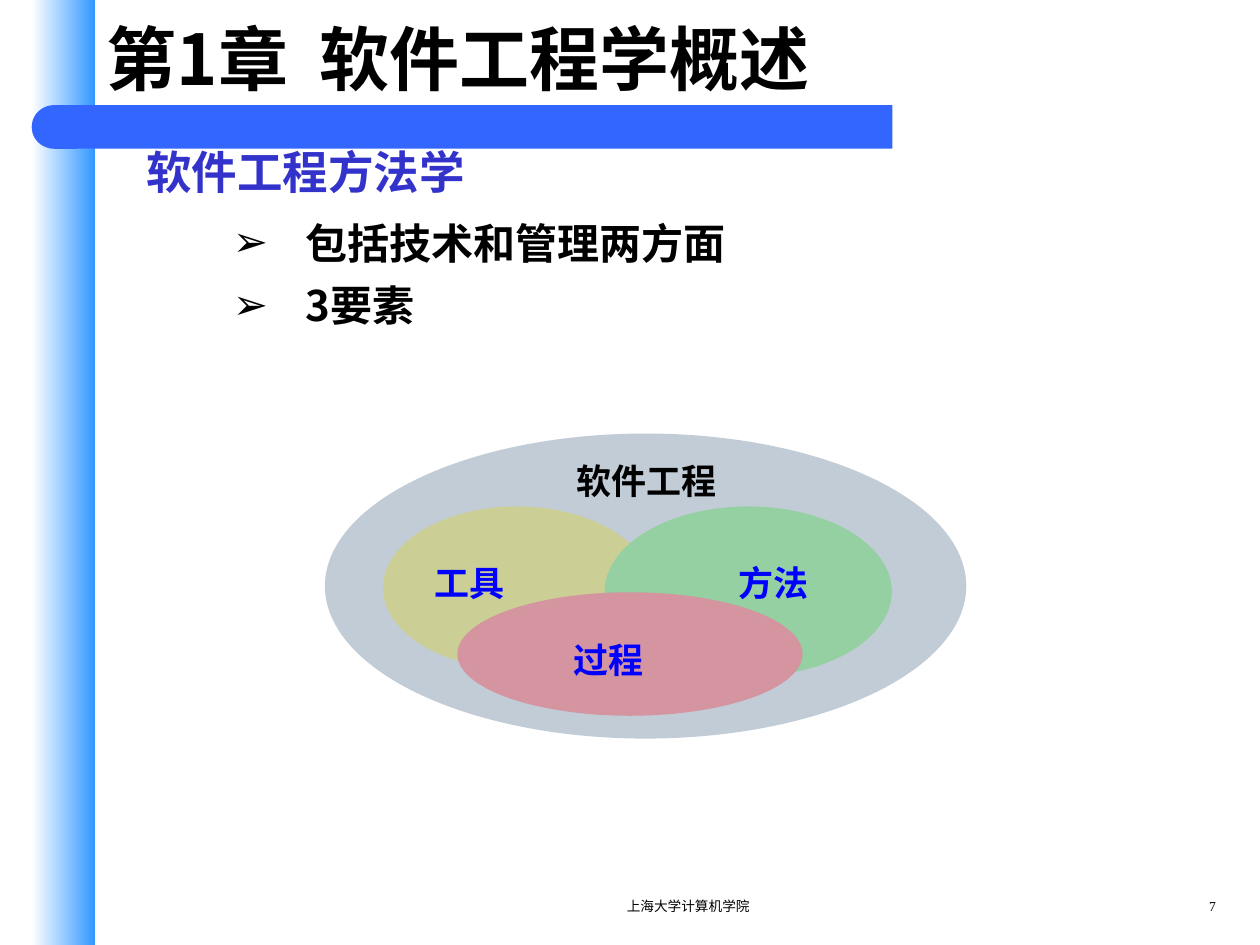
from lxml import etree
from pptx import Presentation
from pptx.dml.color import RGBColor
from pptx.enum.shapes import MSO_SHAPE as Kind
from pptx.enum.text import MSO_ANCHOR as Anchor, PP_ALIGN as Align
from pptx.oxml.ns import qn
from pptx.util import Cm, Pt

BLACK = RGBColor(0, 0, 0)
WHITE = RGBColor(0xFF, 0xFF, 0xFF)
SKY = RGBColor(0x33, 0x99, 0xFF)
BAR = RGBColor(0x33, 0x66, 0xFF)
HEAD = RGBColor(0x33, 0x33, 0xCC)
BLUE = RGBColor(0, 0, 0xFF)
GRAY = RGBColor(0xC2, 0xCC, 0xD6)
OLIVE = RGBColor(0xCC, 0xCF, 0x95)
GREEN = RGBColor(0x94, 0xD0, 0xA1)
ROSE = RGBColor(0xD4, 0x94, 0xA0)
SANS = "Noto Sans CJK SC"
SERIF = "Times New Roman"


def place(shape, box):
    shape.left, shape.top, shape.width, shape.height = map(Cm, box)


def add_run(para, text, size, color, face=SANS, bold=True):
    run = para.add_run()
    run.text = text
    font = run.font
    font.size, font.bold, font.name = Pt(size), bold, face
    font.color.rgb = color
    etree.SubElement(run._r.rPr, qn("a:ea"), typeface=SANS)
    return run


def add_form(slide, kind, box, color):
    form = slide.shapes.add_shape(kind, *map(Cm, box))
    form.shadow.inherit = False
    form.fill.solid()
    form.fill.fore_color.rgb = color
    form.line.fill.background()
    return form


def add_label(slide, text, box, size, color, face, align=Align.CENTER,
              bold=True, anchor=Anchor.MIDDLE):
    frame = slide.shapes.add_textbox(*map(Cm, box)).text_frame
    frame.word_wrap = True
    frame.vertical_anchor = anchor
    para = frame.paragraphs[0]
    para.alignment = align
    add_run(para, text, size, color, face, bold)


def set_bullet(para, left, hang, mark=None):
    """Indent a paragraph and give it a mark, or none."""
    props = para._p.get_or_add_pPr()
    props.set("marL", str(Cm(left)))
    props.set("indent", str(-Cm(hang)))
    if mark:
        tint = etree.SubElement(props, qn("a:buClr"))
        etree.SubElement(tint, qn("a:srgbClr"), val=str(BLACK))
        etree.SubElement(props, qn("a:buChar"), char=mark)
    else:
        etree.SubElement(props, qn("a:buNone"))


def add_frame(slide):
    """Draw the side band and the bar below the title."""
    band = add_form(slide, Kind.RECTANGLE, (0.64, 0, 1.27, 19.05), SKY)
    band.fill.gradient()
    band.fill.gradient_angle = 0
    for stop, color, pos in zip(band.fill.gradient_stops, (WHITE, SKY), (0, 1)):
        stop.color.rgb = color
        stop.position = pos
    add_form(slide, Kind.RECTANGLE, (1.52, 2.12, 16.47, 0.88), BAR)
    cap = add_form(slide, Kind.FLOWCHART_DELAY, (0.64, 2.12, 0.91, 0.88), BAR)
    cap._element.spPr.xfrm.set("flipH", "1")


def add_title(slide):
    title = slide.shapes.title
    place(title, (1.9, 0.43, 22.43, 1.47))
    frame = title.text_frame
    frame.vertical_anchor = Anchor.MIDDLE
    para = frame.paragraphs[0]
    para.alignment = Align.LEFT
    add_run(para, "第1章", 40, BLACK)
    gap = add_run(para, " ", 40, BLACK)
    gap.font._element.set("spc", "900")
    add_run(para, "软件工程学概述", 40, BLACK)


def add_body(slide):
    body = slide.placeholders[1]
    place(body, (1.9, 2.97, 22, 7.77))
    frame = body.text_frame
    para = frame.paragraphs[0]
    set_bullet(para, 2.26, 1.47)
    para.line_spacing = 0.82
    para.space_before, para.space_after = Pt(0), Pt(9.8)
    add_run(para, "软件工程方法学", 26, HEAD, SERIF)
    for text in ("包括技术和管理两方面", "3要素"):
        para = frame.add_paragraph()
        para.level = 1
        set_bullet(para, 4.01, 1.47, "➢")
        para.line_spacing = 0.82
        para.space_before = para.space_after = Pt(6)
        add_run(para, text, 24, BLACK)


def add_venn(slide):
    for box, color in (
        ((6.55, 8.74, 12.93, 6.15), GRAY),
        ((7.72, 10.21, 5.41, 3.28), OLIVE),
        ((12.19, 10.21, 5.79, 3.43), GREEN),
        ((9.22, 11.94, 6.96, 2.49), ROSE),
    ):
        add_form(slide, Kind.OVAL, box, color)
    for text, box, color in (
        ("软件工程", (9.14, 9.14, 7.8, 1.09), BLACK),
        ("过程", (10.31, 12.75, 3.91, 1.09), BLUE),
        ("方法", (14.07, 11.28, 3.05, 0.94), BLUE),
        ("工具", (7.95, 11.28, 3.05, 0.94), BLUE),
    ):
        add_label(slide, text, box, 20, color, "Arial")


def add_footer(slide):
    for text, box, align in (
        ("上海大学计算机学院", (9.53, 17.98, 8.69, 0.64), Align.CENTER),
        ("7", (22.86, 17.98, 1.9, 0.64), Align.RIGHT),
    ):
        add_label(slide, text, box, 7.8, BLACK, SERIF, align, False, Anchor.TOP)


def main():
    deck = Presentation()
    deck.slide_width, deck.slide_height = Cm(25.4), Cm(19.05)
    slide = deck.slides.add_slide(deck.slide_layouts[1])
    add_frame(slide)
    add_title(slide)
    add_body(slide)
    add_venn(slide)
    add_footer(slide)
    deck.save("out.pptx")


if __name__ == "__main__":
    main()
